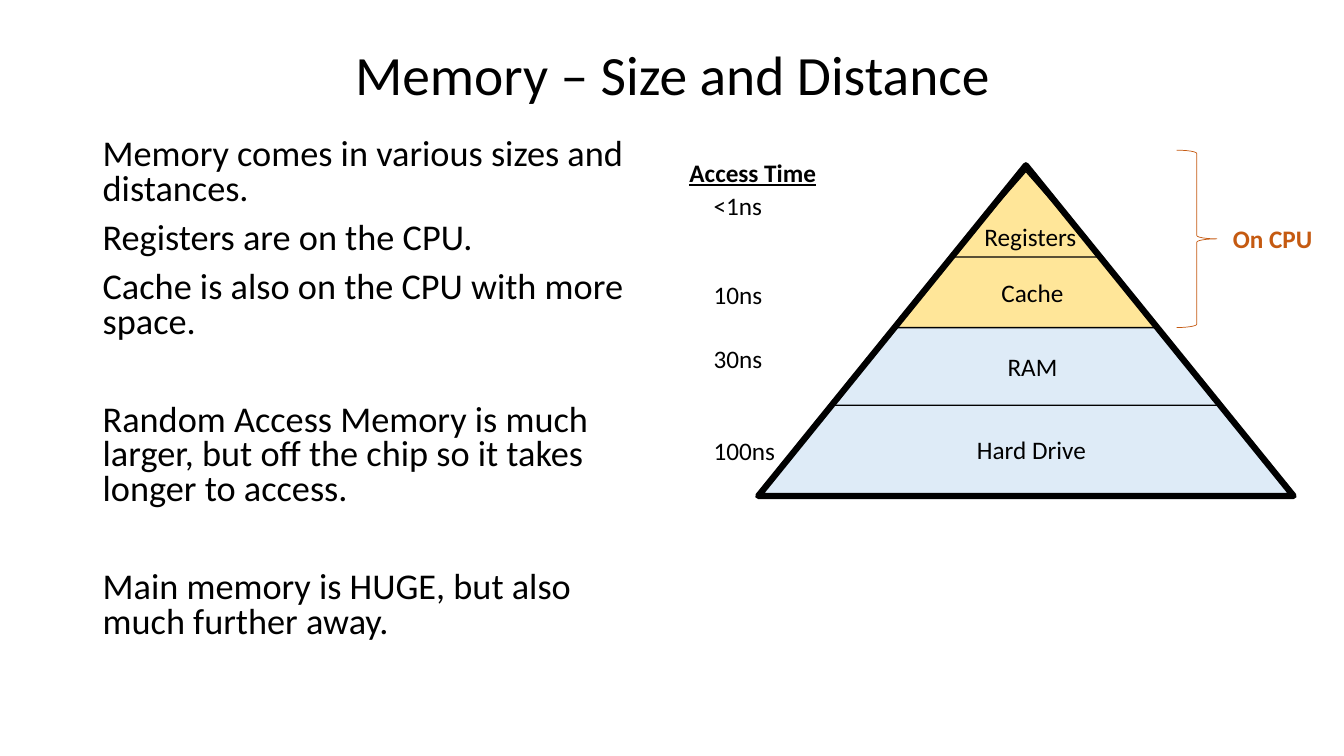
from pptx import Presentation
from pptx.dml.color import RGBColor
from pptx.enum.shapes import MSO_SHAPE
from pptx.enum.text import MSO_ANCHOR, PP_ALIGN
from pptx.util import Inches, Pt

COLORS = {"ink": "000000", "on_chip": "FFE699", "off_chip": "DEEBF7", "accent": "C55A11"}


class SlideBuilder:
    font = "Calibri"

    def __init__(self, slide):
        self.slide = slide

    def shape(self, kind, place, line_width, fill=None, line="ink"):
        shape = self.slide.shapes.add_shape(kind, *map(Inches, place))
        shape.shadow.inherit = False
        if fill:
            shape.fill.solid()
            shape.fill.fore_color.rgb = RGBColor.from_string(COLORS[fill])
        else:
            shape.fill.background()
        shape.line.color.rgb = RGBColor.from_string(COLORS[line])
        shape.line.width = Pt(line_width)

    def text(self, place, text, size=18, color="ink", align=PP_ALIGN.LEFT,
             anchor=MSO_ANCHOR.TOP, spacing=1.0, bold=False, underline=False):
        box = self.slide.shapes.add_textbox(*map(Inches, place))
        frame = box.text_frame
        frame.word_wrap = True
        frame.vertical_anchor = anchor
        frame.text = text
        for para in frame.paragraphs:
            para.alignment = align
            para.line_spacing = spacing
            for span in para.runs:
                span.font.name = self.font
                span.font.size = Pt(size)
                span.font.bold = bold
                span.font.underline = underline
                span.font.color.rgb = RGBColor.from_string(COLORS[color])
        return box

    def body(self, place, points):
        """Add paragraphs given as (text, space before in points)."""
        box = self.text(place, "\n".join(text for text, _ in points), size=25.9, spacing=0.8)
        for para, (_, gap) in zip(box.text_frame.paragraphs, points):
            para.space_before = Pt(gap)


def main():
    deck = Presentation()
    deck.slide_width, deck.slide_height = Inches(13.33), Inches(7.5)
    builder = SlideBuilder(deck.slides.add_slide(deck.slide_layouts[6]))

    builder.text((0.92, 0.4, 11.5, 0.73), "Memory – Size and Distance", size=39.6,
                 align=PP_ALIGN.CENTER, anchor=MSO_ANCHOR.MIDDLE, spacing=0.9)
    near, far = 10, 45
    builder.body((0.92, 1.33, 5.67, 5.42), [
        ("Memory comes in various sizes and distances.", near),
        ("Registers are on the CPU.", near),
        ("Cache is also on the CPU with more space.", near),
        ("Random Access Memory is much larger, but off the chip so it takes longer to access.", far),
        ("Main memory is HUGE, but also much further away.", far),
    ])

    # Nested triangles, largest first, so each one leaves a band of the one behind it
    levels = [
        ("Hard Drive", (7.52, 1.66, 5.3, 3.25), "off_chip", (9.33, 4.26, 1.8, 0.4)),
        ("RAM", (8.23, 1.67, 3.86, 2.35), "off_chip", (9.68, 3.44, 1.12, 0.4)),
        ("Cache", (8.88, 1.67, 2.6, 1.58), "on_chip", (9.68, 2.7, 1.12, 0.4)),
        ("Registers", (9.43, 1.7, 1.49, 0.85), "on_chip", (9.66, 2.15, 1.12, 0.4)),
    ]
    for _, triangle, fill, _ in levels:
        builder.shape(MSO_SHAPE.ISOSCELES_TRIANGLE, triangle, 1, fill)
    for name, _, _, label in levels:
        builder.text(label, name, align=PP_ALIGN.CENTER)

    access_times = [("<1ns", 1.84), ("10ns", 2.72), ("30ns", 3.36), ("100ns", 4.27)]
    for time, top in access_times:
        builder.text((6.98, top, 1, 0.4), time)

    builder.shape(MSO_SHAPE.ISOSCELES_TRIANGLE, (7.52, 1.64, 5.31, 3.28), 4.5)
    builder.shape(MSO_SHAPE.RIGHT_BRACE, (11.67, 1.49, 0.4, 1.76), 0.5, line="accent")
    builder.text((12.13, 2.17, 1.06, 0.4), "On CPU", color="accent", bold=True)
    builder.text((6.74, 1.51, 1.47, 0.4), "Access Time", bold=True, underline=True)

    deck.save("out.pptx")


if __name__ == "__main__":
    main()
